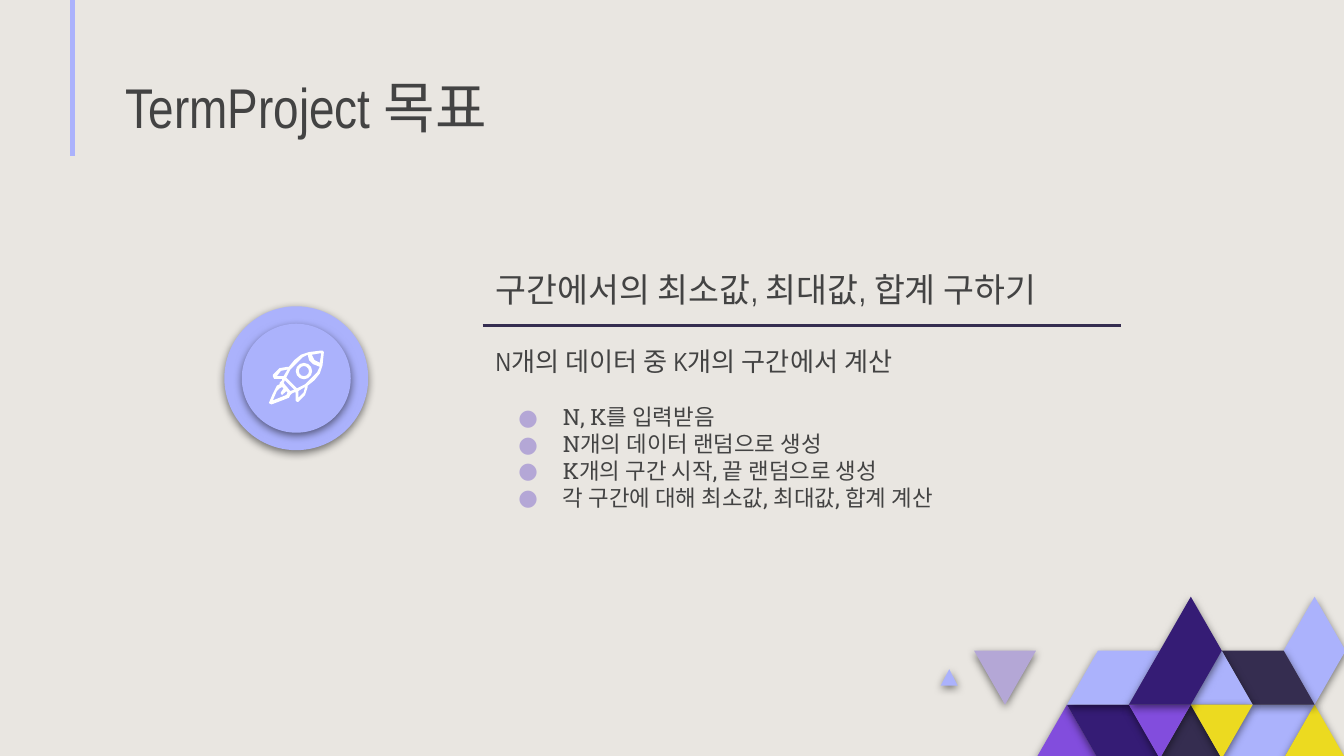
from lxml.etree import SubElement
from pptx import Presentation
from pptx.dml.color import RGBColor
from pptx.enum.shapes import MSO_CONNECTOR, MSO_SHAPE
from pptx.enum.text import MSO_ANCHOR
from pptx.oxml.ns import qn
from pptx.util import Cm, Pt

LAVENDER, INDIGO, VIOLET = "ABB2FC", "351C75", "824DDD"
NIGHT, YELLOW, LILAC = "352D50", "ECDA20", "B4A7D6"

MOSAIC = [
    (VIOLET, [(0, 3), (1, 2), (2, 3)]),
    (INDIGO, [(1, 2), (3, 2), (4, 3), (2, 3)]),
    (LAVENDER, [(6, 3), (7, 2), (9, 2), (8, 3)]),
    (YELLOW, [(8, 3), (9, 2), (10, 3)]),
    (NIGHT, [(4, 3), (5, 2), (6, 3)]),
    (LAVENDER, [(1, 2), (2, 1), (4, 1), (3, 2)]),
    (LILAC, [(-2, 1), (0, 1), (-1, 2)]),
    (LAVENDER, [(8, 1), (9, 0), (10, 1), (9, 2)]),
    (NIGHT, [(6, 1), (8, 1), (9, 2), (7, 2)]),
    (LAVENDER, [(5, 2), (6, 1), (7, 2)]),
    (YELLOW, [(5, 2), (7, 2), (6, 3)]),
    (VIOLET, [(3, 2), (5, 2), (4, 3)]),
    (INDIGO, [(3, 2), (5, 0), (6, 1), (5, 2)]),
]

ROCKET = [
    [(38, 0), (30, 1), (24, 3), (19, 7), (15, 12), (14, 12), (8, 13), (3, 18),
     (3, 19), (4, 21), (10, 21), (10, 22), (8, 24), (8, 25), (6, 26), (3, 32),
     (0, 39), (2, 40), (10, 37), (15, 35), (16, 33), (17, 32), (19, 31),
     (20, 31), (20, 37), (21, 38), (22, 38), (27, 33), (29, 27), (29, 26),
     (34, 22), (38, 17), (40, 11), (41, 1), (40, 0)],
    [(38, 2), (39, 2), (38, 9), (34, 7), (32, 3)],
    [(14, 14), (11, 19), (6, 19), (9, 15)],
    [(29, 3), (30, 7), (33, 10), (38, 12), (36, 16), (32, 20), (27, 25),
     (21, 28), (13, 20), (16, 14), (21, 9), (25, 5)],
    [(12, 22), (19, 29), (16, 30), (11, 24)],
    [(27, 27), (26, 31), (22, 35), (22, 30)],
    [(10, 27), (11, 28), (9, 31), (9, 32), (10, 33), (13, 30), (14, 31),
     (13, 33), (3, 37), (6, 30), (8, 28)],
]


def colour(code):
    return RGBColor.from_string(code)


class Slide:
    text_colour = "434343"
    heading_font = "Arial Narrow"
    body_font = "Roboto Slab"

    def __init__(self, deck):
        self.slide = deck.slides.add_slide(deck.slide_layouts[6])
        self.shapes = self.slide.shapes

    def background(self, code):
        fill = self.slide.background.fill
        fill.solid()
        fill.fore_color.rgb = colour(code)

    def paint(self, shape, code, shadow):
        shape.fill.solid()
        shape.fill.fore_color.rgb = colour(code)
        shape.line.fill.background()
        shape.shadow.inherit = False
        if shadow:
            effects = shape._element.spPr.find(qn("a:effectLst"))
            outer = SubElement(effects, qn("a:outerShdw"), blurRad=str(Pt(4.5)),
                               dist=str(Pt(1.5)), dir="5400000", algn="bl", rotWithShape="0")
            black = SubElement(outer, qn("a:srgbClr"), val="000000")
            SubElement(black, qn("a:alpha"), val="50000")

    def outline(self, group, contours, left, top, unit, code, shadow=False):
        builder = group.shapes.build_freeform(*contours[0][0], scale=unit)
        for contour in contours:
            if contour is not contours[0]:
                builder.move_to(*contour[0])
            builder.add_line_segments(contour[1:], close=True)
        self.paint(builder.convert_to_shape(Cm(left), Cm(top)), code, shadow)

    def round_shape(self, group, preset, left, top, size, code, shadow=False):
        shape = group.shapes.add_shape(preset, Cm(left), Cm(top), Cm(size), Cm(size))
        self.paint(shape, code, shadow)
        return shape

    def line(self, x1, y1, x2, y2, code, width):
        rule = self.shapes.add_connector(MSO_CONNECTOR.STRAIGHT, Cm(x1), Cm(y1), Cm(x2), Cm(y2))
        rule.line.color.rgb = colour(code)
        rule.line.width = Pt(width)
        SubElement(rule._element.spPr, qn("a:effectLst"))

    def text(self, left, top, width, height, lines, size, font=heading_font,
             anchor=MSO_ANCHOR.BOTTOM, bullet=None):
        frame = self.shapes.add_textbox(Cm(left), Cm(top), Cm(width), Cm(height)).text_frame
        frame.word_wrap = True
        frame.vertical_anchor = anchor
        frame.margin_left = frame.margin_right = Cm(0.25)
        frame.margin_top = frame.margin_bottom = Cm(0.25)
        frame.text = "\n".join(lines)
        for paragraph in frame.paragraphs:
            if bullet:
                self.bullet(paragraph, bullet)
            paragraph.font.name = font
            paragraph.font.size = Pt(size)
            paragraph.font.color.rgb = colour(self.text_colour)

    def bullet(self, paragraph, code):
        properties = paragraph._p.get_or_add_pPr()
        properties.set("marL", str(Cm(1.27)))
        properties.set("indent", str(-Cm(0.84)))
        bullet_colour = SubElement(properties, qn("a:buClr"))
        SubElement(bullet_colour, qn("a:srgbClr"), val=code)
        SubElement(properties, qn("a:buFont"), typeface=self.body_font)
        SubElement(properties, qn("a:buChar"), char="●")


def main():
    deck = Presentation()
    deck.slide_width, deck.slide_height = Cm(25.4), Cm(14.29)
    goal = Slide(deck)
    goal.background("E9E6E1")
    goal.line(1.37, 0, 1.37, 2.95, LAVENDER, 2.25)

    mosaic = goal.shapes.add_group_shape()
    for code, corners in MOSAIC:
        goal.outline(mosaic, [corners], 19.58, 11.28, (Cm(5.85) / 10, Cm(1.02)), code, True)
    goal.outline(mosaic, [[(0, 1), (1, 0), (2, 1)]], 17.78, 12.65,
                 (Cm(0.16), Cm(0.31)), LAVENDER, True)

    goal.text(2.13, 1.3, 7.44, 1.6, ["TermProject 목표"], 30)
    goal.line(9.12, 6.15, 21.18, 6.15, NIGHT, 1.5)
    goal.text(9.12, 4.5, 12.06, 1.6, ["구간에서의 최소값, 최대값, 합계 구하기"], 18)
    goal.text(9.12, 6.35, 12.06, 1.02, ["N개의 데이터 중 K개의 구간에서 계산"], 14)
    steps = ["N, K를 입력받음", "N개의 데이터 랜덤으로 생성",
             "K개의 구간 시작, 끝 랜덤으로 생성",
             "각 구간에 대해 최소값, 최대값, 합계 계산"]
    goal.text(9.12, 7.37, 10.13, 2.72, steps, 12, Slide.body_font, MSO_ANCHOR.TOP, LILAC)

    badge = goal.shapes.add_group_shape()
    goal.round_shape(badge, MSO_SHAPE.OVAL, 4.24, 5.79, 2.72, LAVENDER, True)
    goal.round_shape(badge, MSO_SHAPE.OVAL, 4.57, 6.12, 2.06, LAVENDER, True)
    porthole = goal.round_shape(badge, MSO_SHAPE.DONUT, 5.59, 6.86, 0.31, "FFFFFF")
    porthole.adjustments[0] = 0.19
    goal.outline(badge, ROCKET, 5.08, 6.63, Cm(2.54) / 100, "FFFFFF")

    deck.save("out.pptx")


if __name__ == "__main__":
    main()
